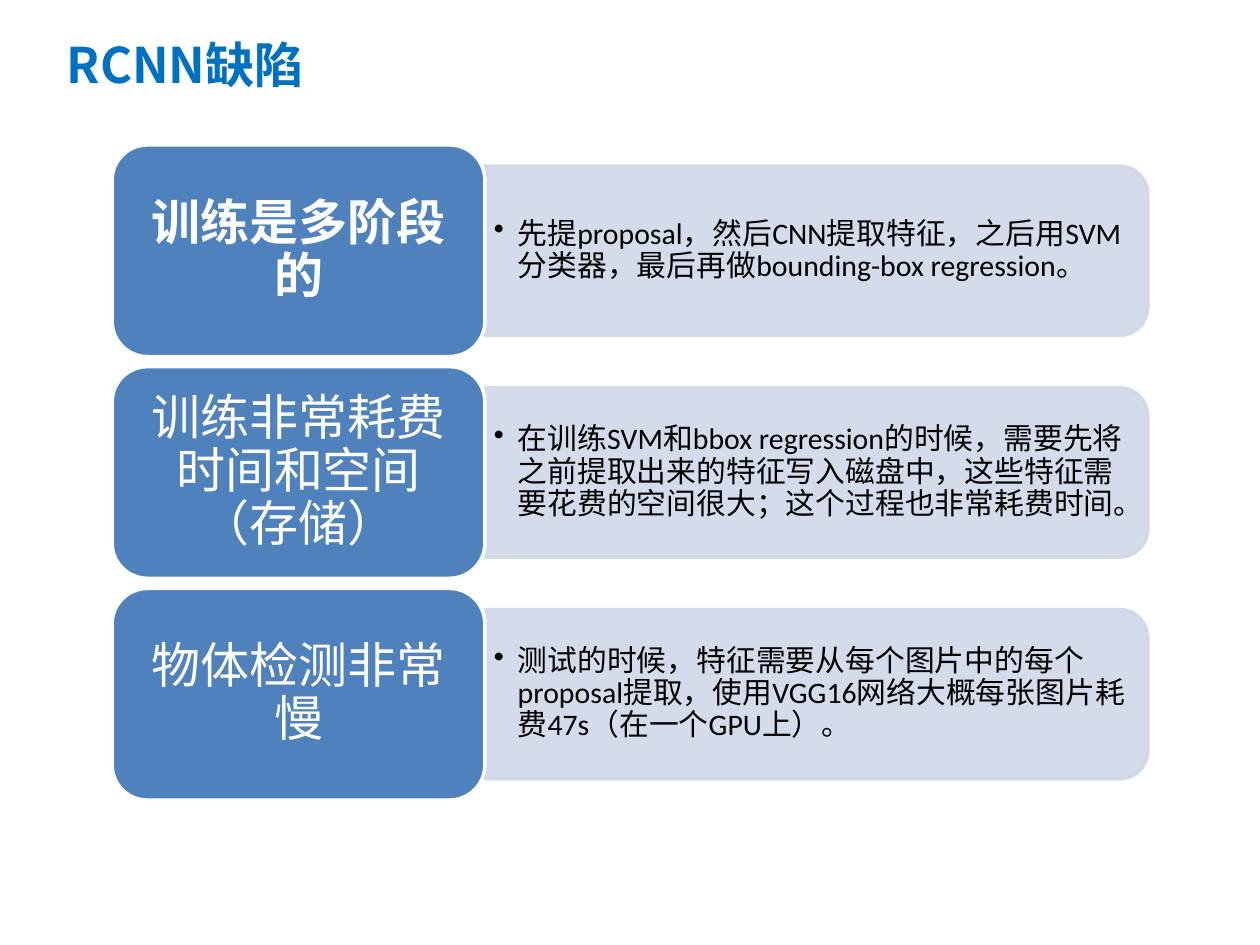
from lxml.etree import SubElement
from pptx import Presentation
from pptx.dml.color import RGBColor
from pptx.enum.shapes import MSO_SHAPE as Shape
from pptx.enum.text import MSO_ANCHOR as Anchor, PP_ALIGN as Align
from pptx.oxml.ns import qn
from pptx.util import Inches, Pt

TITLE_BLUE = RGBColor(0x00, 0x70, 0xC0)
LABEL_BLUE = RGBColor(0x4F, 0x81, 0xBD)
PANEL_BLUE = RGBColor(0xD0, 0xD8, 0xE8)
WHITE = RGBColor(0xFF, 0xFF, 0xFF)
BLACK = RGBColor(0x00, 0x00, 0x00)
LATIN, CHINESE = "Calibri", "Noto Sans CJK SC"

# Row grid in inches: the label takes the left share, the panel the rest
LEFT, TOP, WIDTH = 0.89, 1.15, 8.22
PITCH, LABEL_HEIGHT = 1.76, 1.68
LABEL_SHARE, PANEL_HEIGHT_SHARE, DETAIL_HEIGHT_SHARE = 0.36, 0.8, 0.72

DEFECTS = [
    ("训练是多阶段的", True,
     "先提proposal，然后CNN提取特征，之后用SVM分类器，最后再做bounding-box regression。"),
    ("训练非常耗费时间和空间（存储）", False,
     "在训练SVM和bbox regression的时候，需要先将之前提取出来的特征写入磁盘中，"
     "这些特征需要花费的空间很大；这个过程也非常耗费时间。"),
    ("物体检测非常慢", False,
     "测试的时候，特征需要从每个图片中的每个proposal提取，"
     "使用VGG16网络大概每张图片耗费47s（在一个GPU上）。"),
]


def apply(target, formats):
    for name, value in formats.items():
        setattr(target, name, value)


class DefectSlide:
    def __init__(self, deck):
        self.slide = deck.slides.add_slide(deck.slide_layouts[5])
        self.shapes = self.slide.shapes

    def box(self, row, start, end, height_share):
        """Place a box, centred in its row, between two shares of the width."""
        height = LABEL_HEIGHT * height_share
        top = TOP + row * PITCH + (LABEL_HEIGHT - height) / 2
        return [Inches(n) for n in
                (LEFT + start * WIDTH, top, (end - start) * WIDTH, height)]

    def set_text(self, frame, text, size, color, bold=False, align=Align.LEFT,
                 margins=(0.1, 0.05), latin=LATIN, spacing=0.9):
        side, edge = (Inches(m) for m in margins)
        apply(frame, {"word_wrap": True, "vertical_anchor": Anchor.MIDDLE,
                      "margin_left": side, "margin_right": side,
                      "margin_top": edge, "margin_bottom": edge})
        paragraph = frame.paragraphs[0]
        apply(paragraph, {"alignment": align, "line_spacing": spacing})
        run = paragraph.add_run()
        run.text = text
        apply(run.font, {"size": Pt(size), "bold": bold, "name": latin})
        run.font.color.rgb = color
        SubElement(run.font._element, qn("a:ea"), typeface=CHINESE)
        return paragraph

    def paint(self, shape, fill, line):
        shape.shadow.inherit = False
        shape.fill.solid()
        shape.fill.fore_color.rgb = fill
        shape.line.color.rgb = line
        shape.line.width = Pt(2)

    def title(self, text):
        title = self.shapes.title
        apply(title, {"left": Inches(0.43), "top": Inches(0.17),
                      "width": Inches(8.89), "height": Inches(0.67)})
        self.set_text(title.text_frame, text, 28, TITLE_BLUE, bold=True,
                      latin=CHINESE, spacing=1.0)

    def panel(self, row):
        left, top, width, height = self.box(row, LABEL_SHARE, 1, PANEL_HEIGHT_SHARE)
        # A quarter turn puts the rounded corners on the right
        shift = (width - height) // 2
        panel = self.shapes.add_shape(Shape.ROUND_2_SAME_RECTANGLE,
                                      left + shift, top - shift, height, width)
        panel.rotation = 90
        self.paint(panel, PANEL_BLUE, PANEL_BLUE)
        for color in panel._element.spPr.iter(qn("a:srgbClr")):
            SubElement(color, qn("a:alpha"), val="90000")

    def detail(self, row, text):
        detail = self.shapes.add_textbox(
            *self.box(row, LABEL_SHARE, 0.99, DETAIL_HEIGHT_SHARE))
        paragraph = self.set_text(detail.text_frame, text, 17, BLACK,
                                  margins=(0.07, 0.04))
        properties = paragraph._p.get_or_add_pPr()
        indent = Inches(0.19)
        properties.set("marL", str(indent))
        properties.set("indent", str(-indent))
        SubElement(properties, qn("a:buChar"), char="•")

    def label(self, row, text, bold):
        label = self.shapes.add_shape(Shape.ROUNDED_RECTANGLE,
                                      *self.box(row, 0, LABEL_SHARE, 1))
        self.paint(label, LABEL_BLUE, WHITE)
        self.set_text(label.text_frame, text, 28, WHITE, bold=bold,
                      align=Align.CENTER, margins=(0.12, 0.06))


def main():
    deck = Presentation()
    apply(deck, {"slide_width": Inches(10), "slide_height": Inches(7.5)})
    page = DefectSlide(deck)
    page.title("RCNN缺陷")

    # One row for each defect
    for row, (name, bold, explanation) in enumerate(DEFECTS):
        page.panel(row)
        page.detail(row, explanation)
        page.label(row, name, bold)
    deck.save("out.pptx")


if __name__ == "__main__":
    main()
